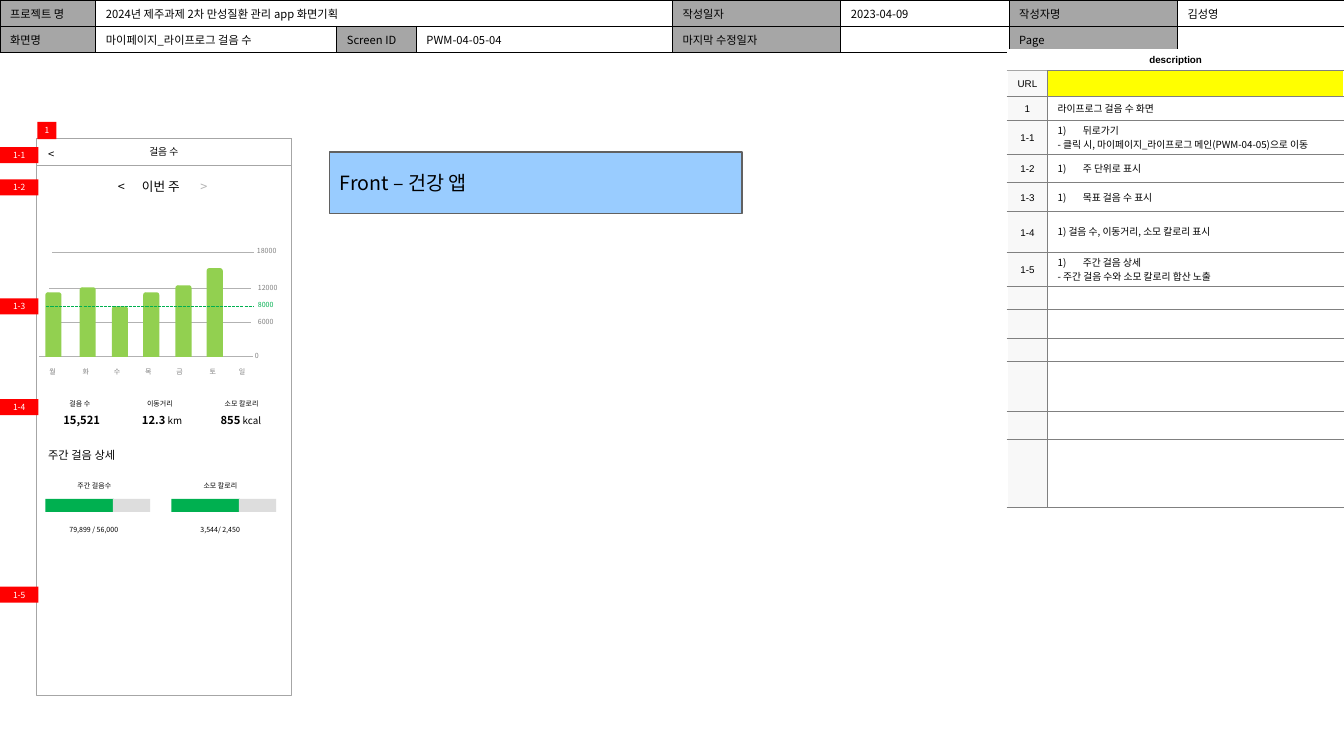
from lxml import etree
from pptx import Presentation
from pptx.dml.color import RGBColor
from pptx.enum.dml import MSO_LINE
from pptx.enum.shapes import MSO_CONNECTOR, MSO_SHAPE
from pptx.enum.text import MSO_ANCHOR, PP_ALIGN
from pptx.oxml.ns import qn
from pptx.util import Inches, Pt

RECT = MSO_SHAPE.RECTANGLE
BAR = MSO_SHAPE.ROUND_2_SAME_RECTANGLE
CALLOUT = MSO_SHAPE.RECTANGULAR_CALLOUT
STRAIGHT = MSO_CONNECTOR.STRAIGHT
DASH = MSO_LINE.SQUARE_DOT
LEFT, CENTER = PP_ALIGN.LEFT, PP_ALIGN.CENTER
MIDDLE = MSO_ANCHOR.MIDDLE
BLACK = RGBColor(0x00, 0x00, 0x00)
WHITE = RGBColor(0xFF, 0xFF, 0xFF)
GRAY = RGBColor(0x80, 0x80, 0x80)
HEADER_GRAY = RGBColor(0xA6, 0xA6, 0xA6)
GRID_GRAY = RGBColor(0xB2, 0xB2, 0xB2)
TRACK_GRAY = RGBColor(0xDD, 0xDD, 0xDD)
PALE_GRAY = RGBColor(0xF8, 0xF8, 0xF8)
OUTLINE_GRAY = RGBColor(0x61, 0x61, 0x61)
RED = RGBColor(0xFF, 0x00, 0x00)
YELLOW = RGBColor(0xFF, 0xFF, 0x00)
GREEN = RGBColor(0x00, 0xB0, 0x50)
LIME = RGBColor(0x92, 0xD0, 0x50)
BLUE = RGBColor(0x99, 0xCC, 0xFF)
KOREAN, LATIN = "Noto Sans CJK KR", "Arial"


class Screen:
    """Draws the elements of one screen plan on a slide."""

    def __init__(self, slide):
        self.shapes = slide.shapes

    def style(self, run, size, color=BLACK, bold=False, font=KOREAN):
        run.font.size, run.font.bold, run.font.name = Pt(size), bold, font
        run.font.color.rgb = color
        etree.SubElement(run.font._element, qn("a:ea"), typeface=font)

    def fill_text(self, frame, text, size, color=BLACK, align=LEFT):
        frame.word_wrap = True
        frame.text = text
        paragraph = frame.paragraphs[0]
        paragraph.alignment = align
        self.style(paragraph.runs[0], size, color)
        return paragraph

    def label(self, x, y, w, text, size=5, color=BLACK, align=LEFT):
        height = 0.19 if size == 5 else 0.24
        box = self.shapes.add_textbox(Inches(x), Inches(y), Inches(w), Inches(height))
        return self.fill_text(box.text_frame, text, size, color, align)

    def box(self, kind, x, y, w, h, fill=None, line=None, weight=0.25):
        shape = self.shapes.add_shape(kind, Inches(x), Inches(y), Inches(w), Inches(h))
        shape.shadow.inherit = False
        if fill is None:
            shape.fill.background()
        else:
            shape.fill.solid()
            shape.fill.fore_color.rgb = fill
        if line is None:
            shape.line.fill.background()
        else:
            shape.line.color.rgb, shape.line.width = line, Pt(weight)
        shape.text_frame.vertical_anchor = MIDDLE
        return shape

    def tag(self, x, y, w, h, text):
        frame = self.box(RECT, x, y, w, h, RED).text_frame
        frame.margin_left = frame.margin_right = frame.margin_top = frame.margin_bottom = 0
        self.fill_text(frame, text, 6, WHITE, CENTER)

    def rule(self, x1, x2, y, color=GRID_GRAY, weight=0.5):
        rule = self.shapes.add_connector(STRAIGHT, Inches(x1), Inches(y), Inches(x2), Inches(y))
        rule.line.color.rgb, rule.line.width = color, Pt(weight)
        etree.SubElement(rule._element.spPr, qn("a:effectLst"))
        return rule

    def table(self, x, y, widths, heights):
        table = self.shapes.add_table(len(heights), len(widths), Inches(x), Inches(y),
                                      Inches(sum(widths)), Inches(sum(heights))).table
        table.first_row = table.horz_banding = False
        for column, width in zip(table.columns, widths):
            column.width = Inches(width)
        for row, height in zip(table.rows, heights):
            row.height = Inches(height)
        return table

    def cell(self, cell, text, size, fill, sides, line, weight, font=KOREAN,
             align=LEFT, bold=False, spacing=None):
        properties = cell._tc.get_or_add_tcPr()
        for side in sides:
            border = etree.SubElement(properties, qn("a:ln" + side), w=str(Pt(weight)))
            solid = etree.SubElement(border, qn("a:solidFill"))
            etree.SubElement(solid, qn("a:srgbClr"), val=str(line))
        cell.fill.solid()
        cell.fill.fore_color.rgb = fill
        cell.vertical_anchor = MIDDLE
        cell.text_frame.text = text
        for paragraph in cell.text_frame.paragraphs:
            paragraph.alignment, paragraph.line_spacing = align, spacing
            for run in paragraph.runs:
                self.style(run, size, BLACK, bold, font)
            if not paragraph.runs:
                etree.SubElement(paragraph._p, qn("a:endParaRPr"), sz=str(size * 100))

    def number(self, paragraph):
        properties = paragraph._p.get_or_add_pPr()
        properties.set("marL", str(Inches(0.25)))
        properties.set("indent", str(Inches(-0.25)))
        etree.SubElement(properties, qn("a:buFont"), typeface=KOREAN)
        etree.SubElement(properties, qn("a:buAutoNum"), type="arabicParenR")


def draw_header(screen):
    rows = [
        ["프로젝트 명", "2024년 제주과제 2차 만성질환 관리 app 화면기획", "", "",
         "작성일자", "2023-04-09", "작성자명", "김성영"],
        ["화면명", "마이페이지_라이프로그 걸음 수", "Screen ID", "PWM-04-05-04",
         "마지막 수정일자", "", "Page", ""],
    ]
    header = screen.table(0, 0, [0.95, 2.39, 0.79, 2.54] + [1.67] * 4, [0.26] * 2)
    for r, row in enumerate(rows):
        for c, text in enumerate(row):
            fill = WHITE if c % 2 else HEADER_GRAY
            screen.cell(header.cell(r, c), text, 8, fill, "LRTB", BLACK, 1)
    header.cell(0, 1).merge(header.cell(0, 3))


def draw_description(screen):
    entries = [
        ("URL", "", False), ("1", "라이프로그 걸음 수 화면", False),
        ("1-1", "뒤로가기\n- 클릭 시, 마이페이지_라이프로그 메인(PWM-04-05)으로 이동", True),
        ("1-2", "주 단위로 표시", True), ("1-3", "목표 걸음 수 표시", True),
        ("1-4", "1) 걸음 수, 이동거리, 소모 칼로리 표시", False),
        ("1-5", "주간 걸음 상세\n- 주간 걸음 수와 소모 칼로리 합산 노출", True),
    ] + [("", "", False)] * 6
    heights = [0.21, 0.25, 0.24, 0.34, 0.28, 0.29, 0.4, 0.34, 0.23, 0.29, 0.22, 0.5, 0.28, 0.67]
    table = screen.table(9.99, 0.49, [0.4, 2.94], heights)
    for cell in table.iter_cells():
        cell.margin_top = cell.margin_bottom = 0
    title = table.cell(0, 0)
    title.merge(table.cell(0, 1))
    screen.cell(title, "description", 7, WHITE, "B", HEADER_GRAY, 0.25, LATIN, CENTER, True)
    for r, (key, text, numbered) in enumerate(entries, 1):
        key_cell, text_cell = table.cell(r, 0), table.cell(r, 1)
        key_cell.margin_left = key_cell.margin_right = Inches(0.05)
        line = HEADER_GRAY if key == "URL" else GRAY
        screen.cell(key_cell, key, 7, PALE_GRAY, "RTB", line, 0.25, LATIN, CENTER, spacing=1.2)
        fill = YELLOW if key == "URL" else WHITE
        screen.cell(text_cell, text, 7, fill, "LTB", GRAY, 0.25)
        if numbered:
            screen.number(text_cell.text_frame.paragraphs[0])


def draw_phone(screen):
    screen.box(RECT, 0.36, 1.37, 2.53, 5.53, line=HEADER_GRAY)
    title_bar = screen.box(RECT, 0.36, 1.37, 2.53, 0.27, line=HEADER_GRAY)
    screen.fill_text(title_bar.text_frame, "걸음 수", 7, align=CENTER)
    screen.label(0.38, 1.41, 0.23, "<", 8, align=CENTER)
    screen.tag(0.37, 1.21, 0.19, 0.17, "1")
    for i, y in enumerate([1.46, 1.78, 2.96, 3.96, 5.82], 1):
        screen.tag(0, y, 0.38, 0.16, f"1-{i}")

    week = screen.label(1.07, 1.73, 1.43, "<\t이번 주\t", 9)
    stops = etree.SubElement(week._p.get_or_add_pPr(), qn("a:tabLst"))
    for stop in (0.24, 0.82):
        etree.SubElement(stops, qn("a:tab"), pos=str(Inches(stop)), algn="l")
    following = week.add_run()
    following.text = ">"
    screen.style(following, 9, GRID_GRAY)

    for steps, left, right, y, text_x in [("18000", 0.52, 2.52, 2.5, 2.45),
                                          ("12000", 0.49, 2.49, 2.86, 2.46),
                                          ("6000", 0.49, 2.49, 3.2, 2.46),
                                          ("0", 0.39, 2.51, 3.54, 2.43)]:
        screen.rule(left, right, y)
        screen.label(text_x, y - 0.1, 0.41, steps, color=GRAY)
    for day, x, top, text_x in [("월", 0.45, 2.9, 0.39), ("화", 0.79, 2.85, 0.72),
                                ("수", 1.11, 3.04, 1.03), ("목", 1.42, 2.9, 1.34),
                                ("금", 1.74, 2.83, 1.65), ("토", 2.05, 2.66, 1.98),
                                ("일", None, None, 2.27)]:
        if x is not None:
            screen.box(BAR, x, top, 0.16, 3.54 - top, LIME)
        screen.label(text_x, 3.6, 0.41, day, color=GRAY)
    screen.rule(0.46, 2.52, 3.04, GREEN, 0.75).line.dash_style = DASH
    screen.label(2.46, 2.93, 0.41, "8000", color=GREEN)

    for name, x, value, unit, value_x in [("걸음 수", 0.59, "15,521", "", 0.53),
                                          ("이동거리", 1.36, "12.3", " km", 1.31),
                                          ("소모 칼로리", 2.13, "855", " kcal", 2.09)]:
        screen.label(x, 3.91, 0.58, name)
        figure = screen.label(value_x, 4.05, 0.7, value, 8)
        figure.runs[0].font.bold = True
        if unit:
            measure = figure.add_run()
            measure.text = unit
            screen.style(measure, 7)

    screen.label(0.38, 4.4, 1.43, "주간 걸음 상세", 8)
    for name, name_x, x, total, total_x in [("주간 걸음수", 0.67, 0.45, "79,899 / 56,000", 0.59),
                                            ("소모 칼로리", 1.92, 1.7, "3,544/ 2,450", 1.89)]:
        screen.label(name_x, 4.73, 0.58, name)
        screen.box(RECT, x, 4.95, 0.68, 0.13, GREEN)
        screen.box(RECT, x + 0.67, 4.95, 0.37, 0.13, TRACK_GRAY)
        screen.label(total_x, 5.16, 0.83, total)


def main():
    deck = Presentation()
    deck.slide_width, deck.slide_height = Inches(13.33), Inches(7.5)
    screen = Screen(deck.slides.add_slide(deck.slide_layouts[6]))
    draw_header(screen)
    draw_phone(screen)
    draw_description(screen)
    front = screen.box(CALLOUT, 3.27, 1.51, 4.09, 0.61, BLUE, OUTLINE_GRAY, 1)
    front.adjustments[0], front.adjustments[1] = -0.5, -0.22
    screen.fill_text(front.text_frame, "Front – 건강 앱", 14)
    deck.save("out.pptx")


if __name__ == "__main__":
    main()
